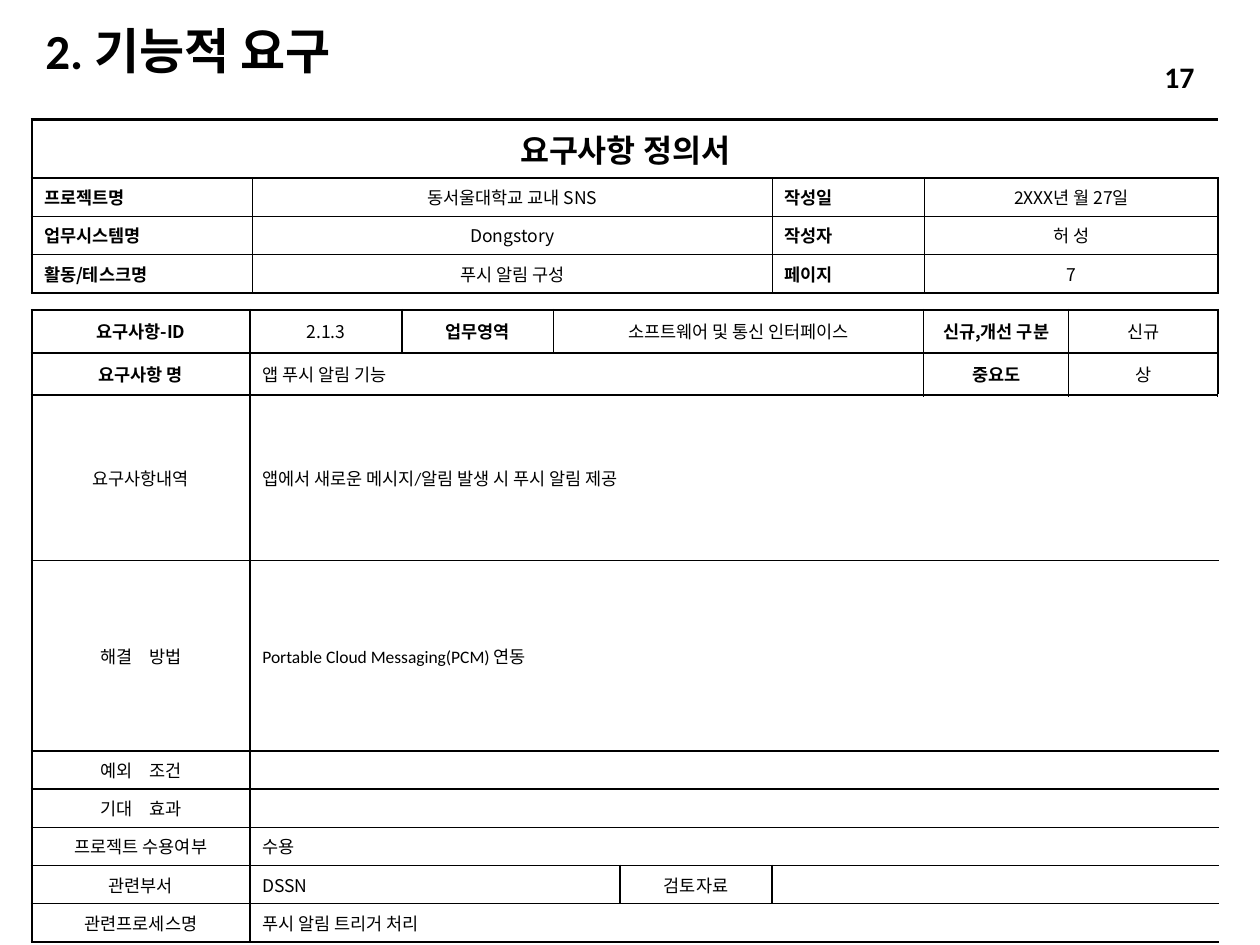
from dataclasses import dataclass

from lxml.etree import SubElement
from pptx import Presentation
from pptx.dml.color import RGBColor
from pptx.enum.text import MSO_ANCHOR as ANCHOR, MSO_AUTO_SIZE as AUTO, PP_ALIGN as ALIGN
from pptx.oxml.ns import qn
from pptx.util import Cm, Pt


@dataclass(frozen=True)
class Theme:
    ink: RGBColor = RGBColor(0, 0, 0)
    paper: RGBColor = RGBColor(255, 255, 255)
    latin: str = "Calibri"
    korean: str = "Noto Sans CJK KR"
    title: float = 28
    page: float = 17
    heading: float = 18
    body: float = 10
    thick: float = 1.5
    thin: float = 1


@dataclass(frozen=True)
class Entry:
    text: str
    span: int = 1
    align: ALIGN = ALIGN.CENTER
    bold: bool = False
    size: float = Theme.body
    font: str = Theme.korean


def label(text, span=1, align=ALIGN.CENTER):
    return Entry(text, span, align, bold=True)


def note(text, span=7, font=Theme.korean):
    return Entry(text, span, ALIGN.LEFT, font=font)


T = Theme()
SIDE = ALIGN.JUSTIFY

DOCUMENT_ROWS = [
    [Entry("요구사항 정의서", 4, bold=True, size=T.heading)],
    [label("프로젝트명", align=SIDE), Entry("동서울대학교 교내 SNS"),
     label("작성일", align=SIDE), Entry("2XXX년 월 27일")],
    [label("업무시스템명", align=SIDE), Entry("Dongstory"),
     label("작성자", align=SIDE), Entry("허 성")],
    [label("활동/테스크명", align=SIDE), Entry("푸시 알림 구성", font=T.latin),
     label("페이지", align=SIDE), Entry("7")],
]

REQUIREMENT_ROWS = [
    [label("요구사항-ID"), Entry("2.1.3"), label("업무영역"),
     Entry("소프트웨어 및 통신 인터페이스", 3), label("신규,개선 구분"), Entry("신규")],
    [label("요구사항 명"), note("앱 푸시 알림 기능", 5, T.latin),
     label("중요도"), Entry("상")],
    [Entry("요구사항내역"), note("앱에서 새로운 메시지/알림 발생 시 푸시 알림 제공", font=T.latin)],
    [Entry("해결　방법"), note("Portable Cloud Messaging(PCM) 연동", font=T.latin)],
    [Entry("예외　조건"), note("")],
    [Entry("기대　효과"), note("")],
    [Entry("프로젝트 수용여부"), note("수용")],
    [Entry("관련부서"), note("DSSN", 3), Entry("검토자료"), note("", 3)],
    [Entry("관련프로세스명"), note("푸시 알림 트리거 처리", font=T.latin)],
]


def style_run(r, font, size, bold):
    r.font.name, r.font.size, r.font.bold = font, Pt(size), bold
    r.font.color.rgb = T.ink
    SubElement(r._r.get_or_add_rPr(), qn("a:ea"), typeface=T.korean)


def set_borders(cell, widths):
    """Draw the sides in widths, a dict from side letter to points."""
    tc_pr = cell._tc.get_or_add_tcPr()
    for side, width in widths.items():
        ln = SubElement(tc_pr, qn(f"a:ln{side}"), w=str(Pt(width)))
        fill = SubElement(ln, qn("a:solidFill"))
        SubElement(fill, qn("a:srgbClr"), val=str(T.ink))


def fill_cell(cell, entry, anchor):
    cell.vertical_anchor = anchor
    cell.margin_left = cell.margin_right = Cm(0.25)
    cell.margin_top = cell.margin_bottom = Cm(0.13)
    p = cell.text_frame.paragraphs[0]
    p.text = entry.text
    p.alignment = entry.align
    for r in p.runs:
        style_run(r, entry.font, entry.size, entry.bold)
    if not entry.text:
        SubElement(p._p, qn("a:endParaRPr"), sz=str(Pt(entry.size).centipoints))


def add_form(slide, left, top, widths, heights, rows, anchor, heavy=()):
    """Add a ruled table; heavy lists the inner row edges drawn thick."""
    table = slide.shapes.add_table(len(heights), len(widths), Cm(left), Cm(top),
                                   Cm(sum(widths)), Cm(sum(heights))).table
    table.first_row = table.horz_banding = False
    for column, width in zip(table.columns, widths):
        column.width = Cm(width)
    for row, height in zip(table.rows, heights):
        row.height = Cm(height)

    thick_rows = {0, len(heights), *heavy}
    thick_columns = {0, len(widths)}
    for i, entries in enumerate(rows):
        start = 0
        for entry in entries:
            end = start + entry.span
            for j in range(start, end):
                cell = table.cell(i, j)
                sides = {}
                if j == start:
                    sides["L"] = T.thick if j in thick_columns else T.thin
                if j == end - 1:
                    sides["R"] = T.thick if end in thick_columns else T.thin
                sides["T"] = T.thick if i in thick_rows else T.thin
                sides["B"] = T.thick if i + 1 in thick_rows else T.thin
                set_borders(cell, sides)
                cell.fill.solid()
                cell.fill.fore_color.rgb = T.paper
            first = table.cell(i, start)
            if entry.span > 1:
                first.merge(table.cell(i, end - 1))
            fill_cell(first, entry, ANCHOR.MIDDLE if i == 0 else anchor)
            start = end


def write_line(sp, text, size, align):
    tf = sp.text_frame
    tf.word_wrap, tf.auto_size = True, AUTO.NONE
    tf.vertical_anchor = ANCHOR.MIDDLE
    tf.text = text
    p = tf.paragraphs[0]
    p.alignment = align
    style_run(p.runs[0], T.latin, size, True)
    return p


def add_header(slide, left, top, width):
    title = slide.shapes.title
    title.left, title.top, title.width, title.height = (
        Cm(left), Cm(top), Cm(13.6), Cm(1.12))
    write_line(title, "2. 기능적 요구", T.title, ALIGN.LEFT).line_spacing = 0.9

    page_width = 4.11
    page = slide.shapes.add_textbox(Cm(left + width - page_width), Cm(top + 0.51),
                                    Cm(page_width), Cm(1.02))
    write_line(page, "17", T.page, ALIGN.RIGHT)


def main():
    prs = Presentation()
    prs.slide_width, prs.slide_height = Cm(25.4), Cm(19.05)
    slide = prs.slides.add_slide(prs.slide_layouts[5])
    add_header(slide, left=0.66, top=0.53, width=23.67)
    add_form(slide, 0.64, 6.25, [4.4, 3.06, 3.06, 1.34, 3.06, 3.06, 2.92, 3.02],
             [0.86, 0.86, 3.33, 3.84] + [0.76] * 5, REQUIREMENT_ROWS,
             ANCHOR.MIDDLE, heavy=(1, 2))
    add_form(slide, 0.64, 2.41, [4.45, 10.48, 3.07, 5.92],
             [1.18] + [0.77] * 3, DOCUMENT_ROWS, ANCHOR.TOP)
    prs.save("out.pptx")


if __name__ == "__main__":
    main()
